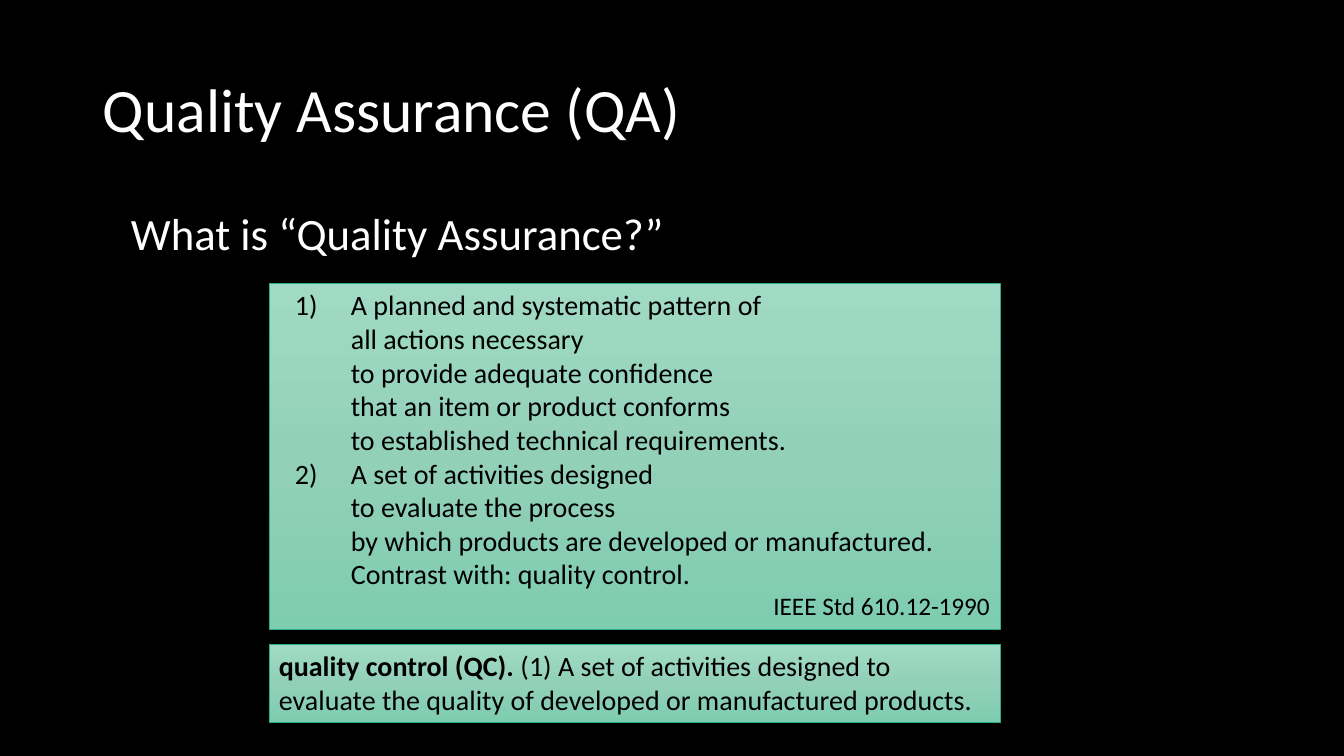
import copy
import pptx
import pptx.util
import pptx.dml.color
import pptx.enum.shapes
import pptx.enum.text
import pptx.oxml
import pptx.oxml.ns

# Content
TITLE = "Quality Assurance (QA)"
QUESTION = "What is “Quality Assurance?”"
DEFINITIONS = [
    ["A planned and systematic pattern of ", "all actions necessary ",
     "to provide adequate confidence ", "that an item or product conforms ",
     "to established technical requirements."],
    ["A set of activities designed ", "to evaluate the process ",
     "by which products are developed or manufactured. Contrast with: quality control."],
]
SOURCE = "IEEE Std 610.12-1990"
QC_TERM = "quality control (QC)."
QC_TEXT = (" (1) A set of activities designed to evaluate the quality of "
           "developed or manufactured products.")

COLORS = {"back": "000000", "light": "FFFFFF", "dark": "000000", "edge": "29AF8C",
          "top": "A0DAC4", "middle": "93D0B9", "bottom": "7ECDB1"}
FONT = "Calibri"

# Layout in px
PX = 914400 / 100.8
SLIDE = (1344, 756)
TITLE_BOX = (93, 40, 1159, 146)
QUESTION_BOX = (121, 201, 940, 68)
PANEL_X, PANEL_W = 269, 731
DEFINITION_BOX = (PANEL_X, 283, PANEL_W, 346)
QC_BOX = (PANEL_X, 644, PANEL_W, 78)
NUMBER_MARGIN, NUMBER_HANG, SOURCE_MARGIN = 72, 56, 15


def emu(px):
    return pptx.util.Emu(round(px * PX))


def rgb(name):
    return pptx.dml.color.RGBColor.from_string(COLORS[name])


def add_text(p, text, size=20, color="dark", bold=False):
    r = p.add_run()
    r.text = text
    r.font.name, r.font.size, r.font.bold = FONT, pptx.util.Pt(size), bold
    r.font.color.rgb = rgb(color)


def indent(p, margin, hang=0):
    pPr = p._p.get_or_add_pPr()
    pPr.set("marL", str(emu(margin)))
    pPr.set("indent", str(-emu(hang)))
    return pPr


def add_box(s, box):
    tf = s.shapes.add_textbox(*map(emu, box)).text_frame
    tf.word_wrap = True
    return tf


def add_panel(s, box):
    sp = s.shapes.add_shape(pptx.enum.shapes.MSO_SHAPE.RECTANGLE, *map(emu, box))
    sp.shadow.inherit = False
    sp.line.color.rgb = rgb("edge")
    sp.line.width = pptx.util.Pt(0.5)
    sp.fill.gradient()
    sp.fill.gradient_angle = 270
    # The default gradient has two stops; a third goes between them
    stops = sp._element.spPr.find(".//" + pptx.oxml.ns.qn("a:gsLst"))
    stops.insert(1, copy.deepcopy(stops[0]))
    for stop, name, place in zip(sp.fill.gradient_stops, ("top", "middle", "bottom"), (0, 0.5, 1)):
        stop.color.rgb = rgb(name)
        stop.position = place
    tf = sp.text_frame
    tf.word_wrap = True
    tf.vertical_anchor = pptx.enum.text.MSO_ANCHOR.TOP
    tf.paragraphs[0].alignment = pptx.enum.text.PP_ALIGN.LEFT
    return tf


prs = pptx.Presentation()
prs.slide_width, prs.slide_height = map(emu, SLIDE)
s = prs.slides.add_slide(prs.slide_layouts[6])
s.background.fill.solid()
s.background.fill.fore_color.rgb = rgb("back")

# Title and question
tf = add_box(s, TITLE_BOX)
tf.vertical_anchor = pptx.enum.text.MSO_ANCHOR.MIDDLE
tf.paragraphs[0].line_spacing = 0.9
add_text(tf.paragraphs[0], TITLE, size=44, color="light")
tf = add_box(s, QUESTION_BOX)
add_text(tf.paragraphs[0], QUESTION, size=32, color="light")

# Numbered definitions
tf = add_panel(s, DEFINITION_BOX)
for i, lines in enumerate(DEFINITIONS):
    p = tf.add_paragraph() if i else tf.paragraphs[0]
    p.alignment = pptx.enum.text.PP_ALIGN.LEFT
    pPr = indent(p, NUMBER_MARGIN, NUMBER_HANG)
    number = pptx.oxml.parse_xml(
        '<a:buAutoNum %s type="arabicParenR"/>' % pptx.oxml.ns.nsdecls("a"))
    pPr.append(number)
    for j, line in enumerate(lines):
        if j:
            p.add_line_break()
        add_text(p, line)
p = tf.add_paragraph()
p.alignment = pptx.enum.text.PP_ALIGN.RIGHT
indent(p, SOURCE_MARGIN)
add_text(p, SOURCE, size=18)

# Quality control
p = add_panel(s, QC_BOX).paragraphs[0]
add_text(p, QC_TERM, bold=True)
add_text(p, QC_TEXT)

prs.save("out.pptx")
